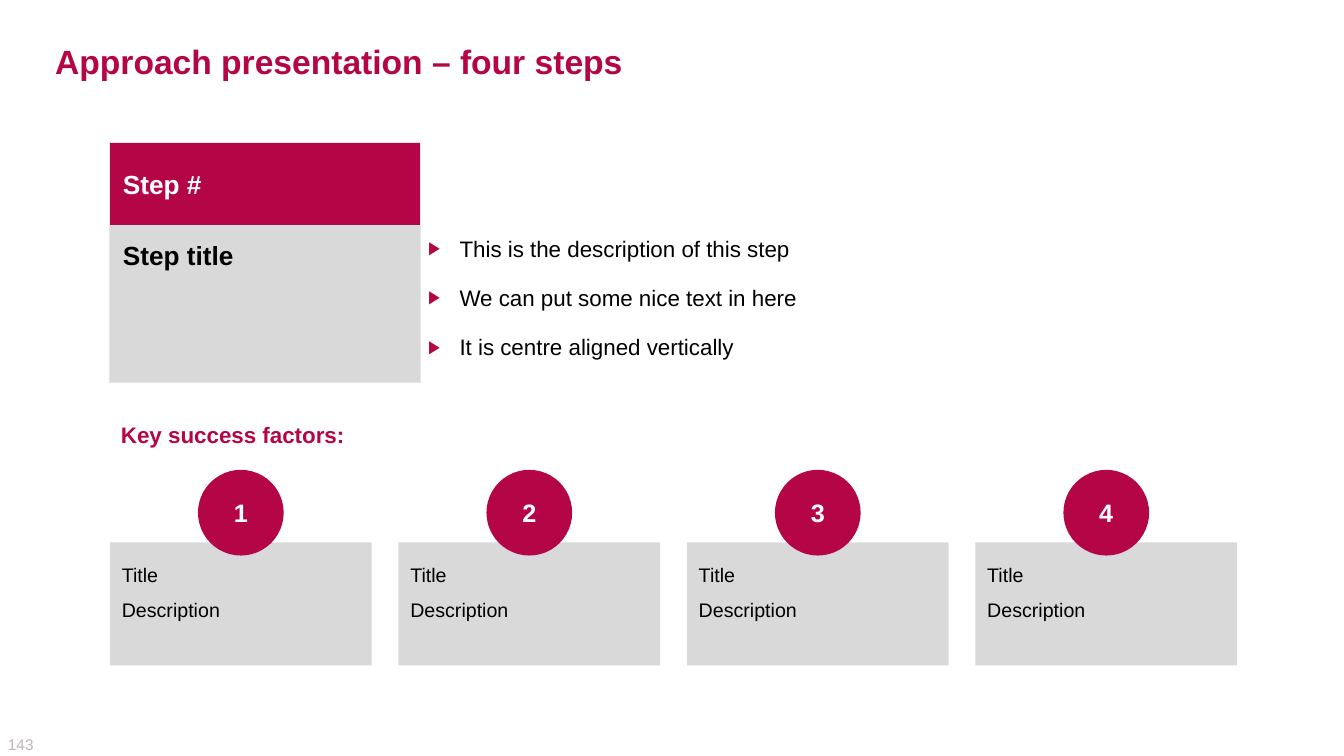
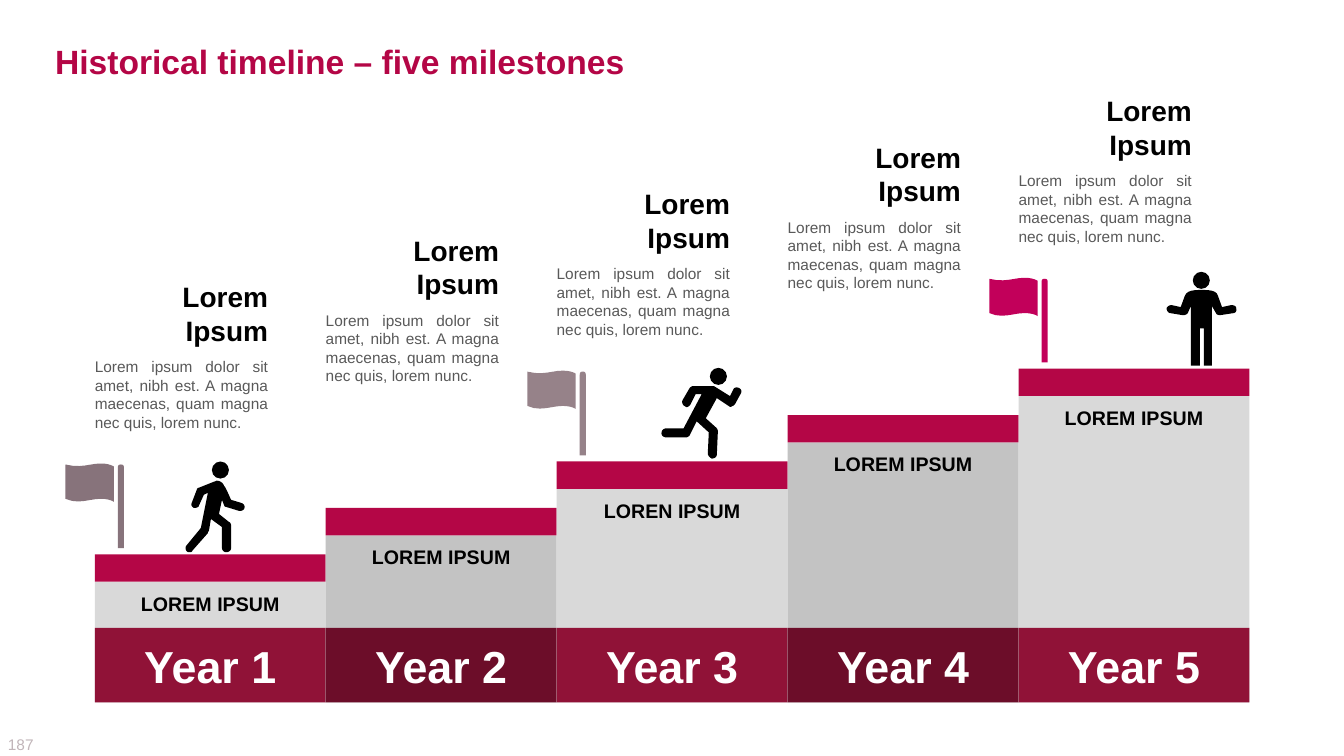
from lxml import etree
from pptx import Presentation
from pptx.dml.color import RGBColor
from pptx.enum import shapes, text
from pptx.oxml import ns
from pptx.util import Cm, Pt

FONT = "Arial"
CRIMSON = RGBColor(0xB4, 0x06, 0x46)
WINE = RGBColor(0x90, 0x12, 0x37)
DARK_WINE = RGBColor(0x6C, 0x0D, 0x29)
MAGENTA = RGBColor(0xC2, 0x00, 0x5A)
MAUVE = RGBColor(0x96, 0x82, 0x89)
DARK_MAUVE = RGBColor(0x87, 0x73, 0x7B)
LIGHT_GREY = RGBColor(0xD9, 0xD9, 0xD9)
MID_GREY = RGBColor(0xC3, 0xC3, 0xC3)
PALE_EDGE = RGBColor(0xE7, 0xE3, 0xE5)
PAGE_GREY = RGBColor(0xC1, 0xB5, 0xB9)
TEXT_GREY = RGBColor(0x59, 0x59, 0x59)
BLACK = RGBColor(0, 0, 0)
WHITE = RGBColor(0xFF, 0xFF, 0xFF)

RECT, OVAL = shapes.MSO_SHAPE.RECTANGLE, shapes.MSO_SHAPE.OVAL
LEFT, CENTER = text.PP_ALIGN.LEFT, text.PP_ALIGN.CENTER
RIGHT, JUSTIFY = text.PP_ALIGN.RIGHT, text.PP_ALIGN.JUSTIFY
TOP, MIDDLE, BOTTOM = (text.MSO_ANCHOR.TOP, text.MSO_ANCHOR.MIDDLE,
                       text.MSO_ANCHOR.BOTTOM)

# Outlines are in hundredths of an inch: M start, L line, C cubic curve.
OUTLINE_UNIT = Cm(2.54) / 100
CURVE_PARTS = 6
HEAD_SIZE = 0.43
FLAG_POLE = "M 55 1 C 57 1 58 2 58 4 L 58 84 L 52 84 L 52 4 C 52 2 53 1 55 1"
FLAG_CLOTH = ("M 35 0 C 44 0 48 3 48 3 L 48 38 C 48 38 44 35 35 35 "
              "C 24 35 13 41 0 35 L 0 1 C 16 5 24 0 35 0")
WALKER = (
    "M 55 41 L 45 38 C 45 38 39 24 38 24 C 37 21 34 19 31 19 "
    "C 30 19 29 20 28 20 L 13 26 C 12 26 11 27 11 28 L 6 41 "
    "C 5 43 6 45 8 46 C 8 46 9 46 9 46 C 11 46 13 45 13 44 L 18 33 L 22 31 "
    "L 15 66 L 1 83 C -1 85 0 88 1 89 C 2 90 3 90 4 90 C 5 90 6 90 7 88 "
    "L 22 71 C 22 70 22 70 23 69 L 25 57 L 36 65 L 36 86 "
    "C 36 88 38 90 40 90 C 43 90 45 88 45 86 L 45 63 C 45 62 44 60 43 60 "
    "L 33 52 L 36 38 L 38 43 C 38 44 39 45 40 45 L 53 49 "
    "C 53 49 53 49 54 49 C 56 49 57 48 58 47 C 59 44 58 42 55 41")
RUNNER = (
    "M 77 20 C 75 19 72 19 71 22 L 68 28 L 52 18 C 51 18 50 18 49 18 "
    "L 32 18 C 30 18 29 19 28 20 L 21 32 C 20 34 21 37 23 38 "
    "C 24 38 24 39 25 39 C 26 39 28 38 29 36 L 34 26 L 40 26 L 22 60 "
    "L 5 60 C 2 60 0 62 0 65 C 0 67 2 69 5 69 L 24 69 C 26 69 27 68 28 67 "
    "L 35 53 L 47 64 L 46 85 C 46 87 48 89 50 90 C 53 90 55 88 55 86 "
    "L 56 63 C 56 61 55 60 54 59 L 44 50 L 55 30 L 67 38 "
    "C 68 39 69 39 70 38 C 71 38 72 37 73 36 L 79 25 C 80 23 79 21 77 20")
STANDER = (
    "M 69 36 C 69 34 67 33 64 33 L 55 35 L 51 24 C 50 18 41 18 35 18 "
    "C 28 18 20 18 18 24 L 14 35 L 5 33 C 3 33 1 34 0 36 C 0 39 2 41 4 41 "
    "L 16 43 C 19 43 20 42 21 41 L 24 34 L 24 93 L 33 93 L 33 56 L 37 56 "
    "L 37 93 L 45 93 L 45 34 L 49 41 C 49 42 51 43 53 43 L 66 41 "
    "C 68 41 70 39 69 36")


def cm_box(*lengths):
    return [Cm(length) for length in lengths]


def paint(shape, fill, edge=None):
    shape.shadow.inherit = False
    shape.fill.solid()
    shape.fill.fore_color.rgb = fill
    if edge is None:
        shape.line.fill.background()
    else:
        shape.line.color.rgb = edge
        shape.line.width = Pt(0.75)


def write(shape, lines, size, color, bold=False, align=LEFT, anchor=TOP,
          insets=(0.25, 0.13, 0.25, 0.13), before=0, after=0, bullet=None):
    frame = shape.text_frame
    frame.word_wrap = True
    frame.auto_size = text.MSO_AUTO_SIZE.NONE
    frame.vertical_anchor = anchor
    (frame.margin_left, frame.margin_top,
     frame.margin_right, frame.margin_bottom) = cm_box(*insets)
    for index, line in enumerate(lines):
        paragraph = frame.paragraphs[0] if index == 0 else frame.add_paragraph()
        paragraph.alignment = align
        paragraph.space_before = Pt(before if index else 0)
        paragraph.space_after = Pt(after)
        if bullet:
            add_bullet(paragraph, bullet)
        run = paragraph.add_run()
        run.text = line
        run.font.name = FONT
        run.font.size = Pt(size)
        run.font.bold = bold
        run.font.color.rgb = color


def add_bullet(paragraph, symbol):
    properties = paragraph._p.get_or_add_pPr()
    properties.set("marL", str(Cm(0.79)))
    properties.set("indent", str(-Cm(0.79)))
    bullet_color = etree.SubElement(properties, ns.qn("a:buClr"))
    etree.SubElement(bullet_color, ns.qn("a:srgbClr"), val=str(CRIMSON))
    etree.SubElement(properties, ns.qn("a:buSzPct"), val="82000")
    etree.SubElement(properties, ns.qn("a:buFont"), typeface=FONT)
    etree.SubElement(properties, ns.qn("a:buChar"), char=symbol)


def add_block(slide, box, fill, edge=None, kind=RECT):
    block = slide.shapes.add_shape(kind, *cm_box(*box))
    paint(block, fill, edge)
    return block


def add_label(slide, box, lines, size, color, **style):
    label = slide.shapes.add_textbox(*cm_box(*box))
    write(label, lines, size, color, **style)


def outline_points(outline):
    """Turn outline commands into corner points, sampling each curve."""
    points = []
    for command in outline.replace("C", "|").replace("L", "|").strip("M ").split("|"):
        numbers = [int(number) for number in command.split()]
        pairs = list(zip(numbers[::2], numbers[1::2]))
        if len(pairs) == 1:
            points += pairs
            continue
        controls = [points[-1]] + pairs
        for part in range(1, CURVE_PARTS + 1):
            t = part / CURVE_PARTS
            weights = ((1 - t) ** 3, 3 * t * (1 - t) ** 2,
                       3 * t * t * (1 - t), t ** 3)
            points.append(tuple(sum(w * c[axis] for w, c in zip(weights, controls))
                                for axis in (0, 1)))
    return points


def add_outline(group, outline, left, top, color):
    corners = [(Cm(left) + x * OUTLINE_UNIT, Cm(top) + y * OUTLINE_UNIT)
               for x, y in outline_points(outline)]
    builder = group.shapes.build_freeform(*corners[0], scale=1.0)
    builder.add_line_segments(corners[1:], close=True)
    paint(builder.convert_to_shape(), color)


def add_flag(slide, left, top, color):
    flag = slide.shapes.add_group_shape()
    for outline in (FLAG_POLE, FLAG_CLOTH):
        add_outline(flag, outline, left, top, color)


def add_person(slide, body, left, top, head_offset):
    person = slide.shapes.add_group_shape()
    add_outline(person, body, left, top, BLACK)
    head = person.shapes.add_shape(
        OVAL, *cm_box(left + head_offset, top, HEAD_SIZE, HEAD_SIZE))
    paint(head, BLACK)


def set_up_master(prs):
    """Fit the master title to the wide slide and drop unused layouts."""
    title = prs.slide_master.placeholders[0]
    title.left, title.top, title.width, title.height = cm_box(1.19, 0.89, 31.5, 1.3)
    for layout in list(prs.slide_layouts):
        if layout.name not in ("Title and Content", "Title Only"):
            prs.slide_layouts.remove(layout)


def add_page(prs, layout_name, title, number):
    slide = prs.slides.add_slide(prs.slide_layouts.get_by_name(layout_name))
    write(slide.shapes.title, [title], 24, CRIMSON, bold=True, anchor=MIDDLE,
          insets=(0.2, 0.13, 0.2, 0.13))
    add_label(slide, (0.2, 18.52, 1, 0.48), [number], 11, PAGE_GREY,
              anchor=MIDDLE, insets=(0, 0, 0, 0))
    return slide


def build_approach(prs):
    slide = add_page(prs, "Title and Content",
                     "Approach presentation – four steps", "143")
    left = 2.77
    heading = dict(bold=True, insets=(0.33,) * 4)
    step_number = add_block(slide, (left, 3.58, 7.82, 2.11), CRIMSON, PALE_EDGE)
    write(step_number, ["Step #"], 18.7, WHITE, anchor=MIDDLE, **heading)
    step_title = add_block(slide, (left, 5.69, 7.82, 3.96), LIGHT_GREY, PALE_EDGE)
    write(step_title, ["Step title"], 18.7, BLACK, **heading)

    description = slide.placeholders[1]
    (description.left, description.top,
     description.width, description.height) = cm_box(10.59, 5.66, 20.75, 3.68)
    write(description, ["This is the description of this step",
                        "We can put some nice text in here",
                        "It is centre aligned vertically"],
          16, BLACK, anchor=MIDDLE, insets=(0.2,) * 4,
          before=4, after=12, bullet="▶")

    add_label(slide, (2.72, 10.29, 8.08, 1.37), ["Key success factors:"],
              16, CRIMSON, **heading)
    card_width, card_pitch, circle_size = 6.6, 7.27, 2.16
    for index in range(4):
        card_left = left + index * card_pitch
        card = add_block(slide, (card_left, 13.67, card_width, 3.1), LIGHT_GREY)
        write(card, ["Title", "Description"], 14, BLACK,
              insets=(0.3, 0.51, 0.3, 0.2), before=4, after=4)
        circle_left = card_left + (card_width - circle_size) / 2
        circle = add_block(slide, (circle_left, 11.84, circle_size, circle_size),
                           CRIMSON, kind=OVAL)
        write(circle, [str(index + 1)], 18, WHITE, bold=True, align=CENTER,
              anchor=MIDDLE, insets=(0.15,) * 4)


def build_timeline(prs):
    slide = add_page(prs, "Title Only",
                     "Historical timeline – five milestones", "187")
    width, rise, band_height = 5.82, 1.17, 0.69
    year_top, year_height = 15.82, 1.88
    base = year_top + year_height
    labels = ["LOREM IPSUM", "LOREM IPSUM", "LOREN IPSUM",
              "LOREM IPSUM", "LOREM IPSUM"]
    flags = {0: DARK_MAUVE, 2: MAUVE, 4: MAGENTA}
    # Step: body outline, offset from the step's left and top, head offset.
    people = {0: (WALKER, 2.29, -2.34, 0.66),
              2: (RUNNER, 2.64, -2.36, 1.22),
              4: (STANDER, 3.73, -2.44, 0.66)}

    for index, label in enumerate(labels):
        left, top = 2.39 + index * width, 13.97 - index * rise
        body_top = top + band_height
        column = add_block(slide, (left, body_top, width, base - body_top),
                           MID_GREY if index % 2 else LIGHT_GREY)
        write(column, [label], 14, BLACK, bold=True, align=CENTER,
              insets=(0.25, 0.25, 0.25, 0.13))
        add_block(slide, (left, top, width, band_height), CRIMSON)
        year = add_block(slide, (left, year_top, width, year_height),
                         DARK_WINE if index % 2 else WINE)
        write(year, [f"Year {index + 1}"], 32, WHITE, bold=True,
              align=CENTER, anchor=MIDDLE)

        text_top, text_width, heading_height = top - 5.1, 4.37, 2
        add_label(slide, (left, text_top - heading_height, text_width, heading_height),
                  ["Lorem Ipsum"], 20, BLACK, bold=True, align=RIGHT,
                  anchor=BOTTOM, insets=(0, 0.13, 0, 0.13))
        add_label(slide, (left, text_top, text_width, 2.13),
                  ["Lorem ipsum dolor sit amet, nibh est. A magna maecenas, "
                   "quam magna nec quis, lorem nunc."],
                  11, TEXT_GREY, align=JUSTIFY, insets=(0, 0.13, 0, 0.13))
        if index in flags:
            add_flag(slide, left - 0.74, top - 2.29, flags[index])
            body, shift, lift, head_offset = people[index]
            add_person(slide, body, left + shift, top + lift, head_offset)


def main():
    prs = Presentation()
    prs.slide_width, prs.slide_height = cm_box(33.87, 19.05)
    set_up_master(prs)
    build_approach(prs)
    build_timeline(prs)
    prs.save("out.pptx")


if __name__ == "__main__":
    main()
